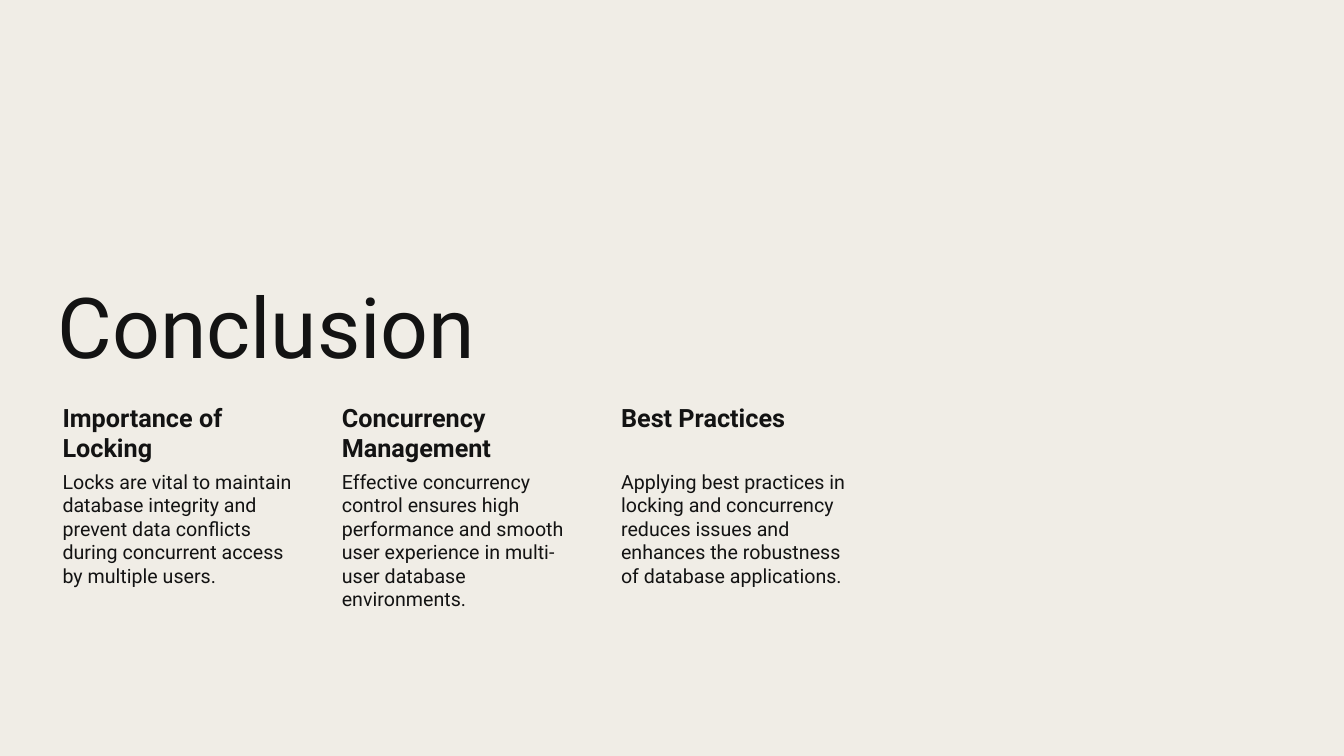
from dataclasses import dataclass

from pptx import Presentation
from pptx import util as u
from pptx.dml import color
from pptx.enum import text


@dataclass(frozen=True)
class Theme:
    font: str = "Roboto"
    background: color.RGBColor = color.RGBColor(0xF0, 0xED, 0xE6)
    ink: color.RGBColor = color.RGBColor(0x13, 0x13, 0x13)
    title: int = 60
    heading: int = 18
    body: int = 14


THEME = Theme()
TITLE_BOX = (0.47, 1.78, 8.06, 2.01)
TAKEAWAYS_BOX = (0.47, 3.96, 8.06, 2.44)
COLUMN_GAP = 0.25
HEADING_HEIGHT = 0.68
TAKEAWAYS = [
    ("Importance of Locking",
     "Locks are vital to maintain database integrity and prevent data "
     "conflicts during concurrent access by multiple users."),
    ("Concurrency Management",
     "Effective concurrency control ensures high performance and smooth "
     "user experience in multi-user database environments."),
    ("Best Practices",
     "Applying best practices in locking and concurrency reduces issues "
     "and enhances the robustness of database applications."),
]


def style_text(p, size, bold=False):
    p.alignment = text.PP_ALIGN.LEFT
    for r in p.runs:
        r.font.name = THEME.font
        r.font.size = u.Pt(size)
        r.font.bold = bold
        r.font.color.rgb = THEME.ink


def add_title(s, box, wording):
    sp = s.shapes.title
    sp.left, sp.top, sp.width, sp.height = map(u.Inches, box)
    tf = sp.text_frame
    tf.text = wording
    tf.word_wrap = True
    tf.auto_size = text.MSO_AUTO_SIZE.NONE
    tf.vertical_anchor = text.MSO_ANCHOR.BOTTOM
    p = tf.paragraphs[0]
    p.line_spacing = 0.9
    style_text(p, THEME.title)


def add_text(group, box, wording, size, inset, bold=False):
    tf = group.shapes.add_textbox(*map(u.Inches, box)).text_frame
    tf.text = wording
    tf.word_wrap = True
    tf.vertical_anchor = text.MSO_ANCHOR.TOP
    tf.margin_left = u.Inches(0.15)
    tf.margin_top = tf.margin_right = tf.margin_bottom = u.Inches(inset)
    style_text(tf.paragraphs[0], size, bold)


def add_takeaway(group, box, heading, body):
    left, top, width, height = box
    add_text(group, (left, top, width, HEADING_HEIGHT),
             heading, THEME.heading, 0.03, bold=True)
    add_text(group, (left, top + HEADING_HEIGHT, width, height - HEADING_HEIGHT),
             body, THEME.body, 0.02)


def add_takeaways(s, box, takeaways):
    left, top, width, height = box
    count = len(takeaways)
    column = (width - COLUMN_GAP * (count - 1)) / count
    group = s.shapes.add_group_shape()
    for i, (heading, body) in enumerate(takeaways):
        x = left + i * (column + COLUMN_GAP)
        add_takeaway(group, (x, top, column, height), heading, body)


def add_conclusion_slide(prs):
    s = prs.slides.add_slide(prs.slide_layouts.get_by_name("Title Only"))
    s.background.fill.solid()
    s.background.fill.fore_color.rgb = THEME.background
    add_title(s, TITLE_BOX, "Conclusion")
    add_takeaways(s, TAKEAWAYS_BOX, TAKEAWAYS)


def main():
    prs = Presentation()
    prs.slide_width, prs.slide_height = u.Inches(13.33), u.Inches(7.5)
    add_conclusion_slide(prs)
    prs.save("out.pptx")


if __name__ == "__main__":
    main()
